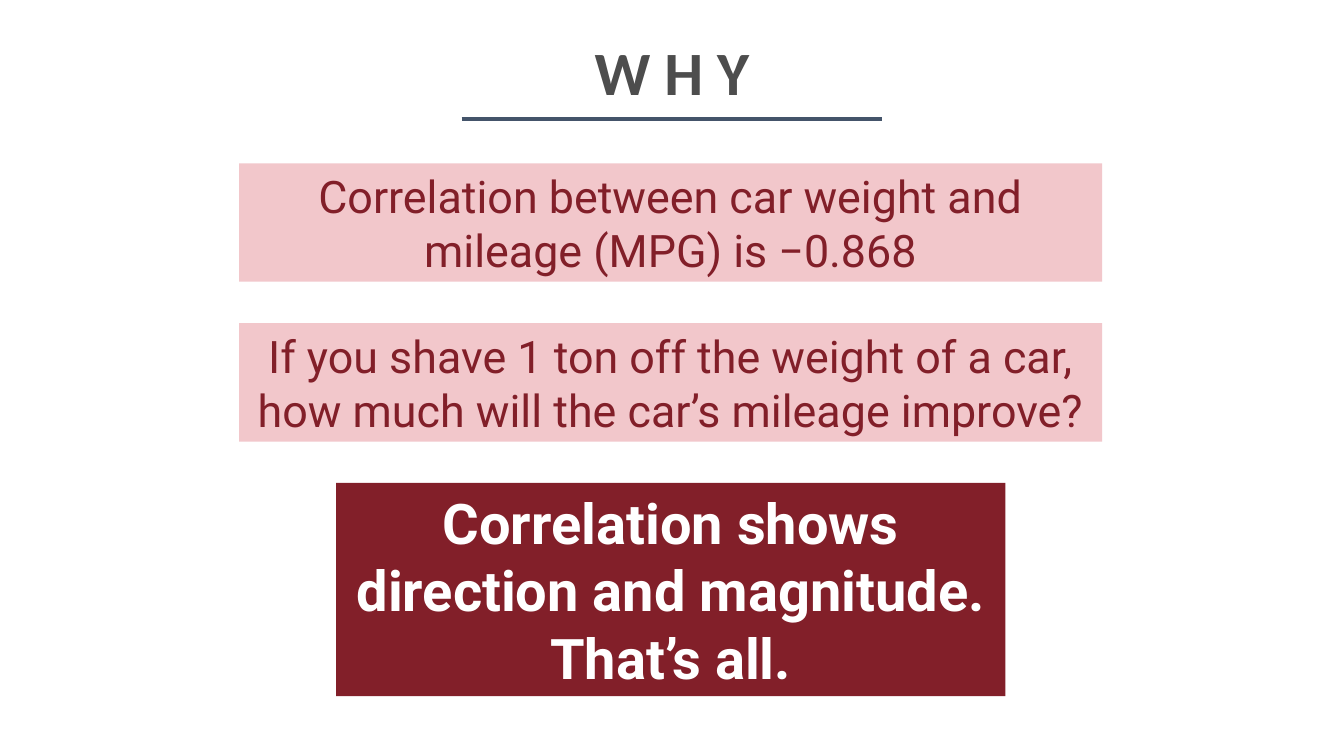
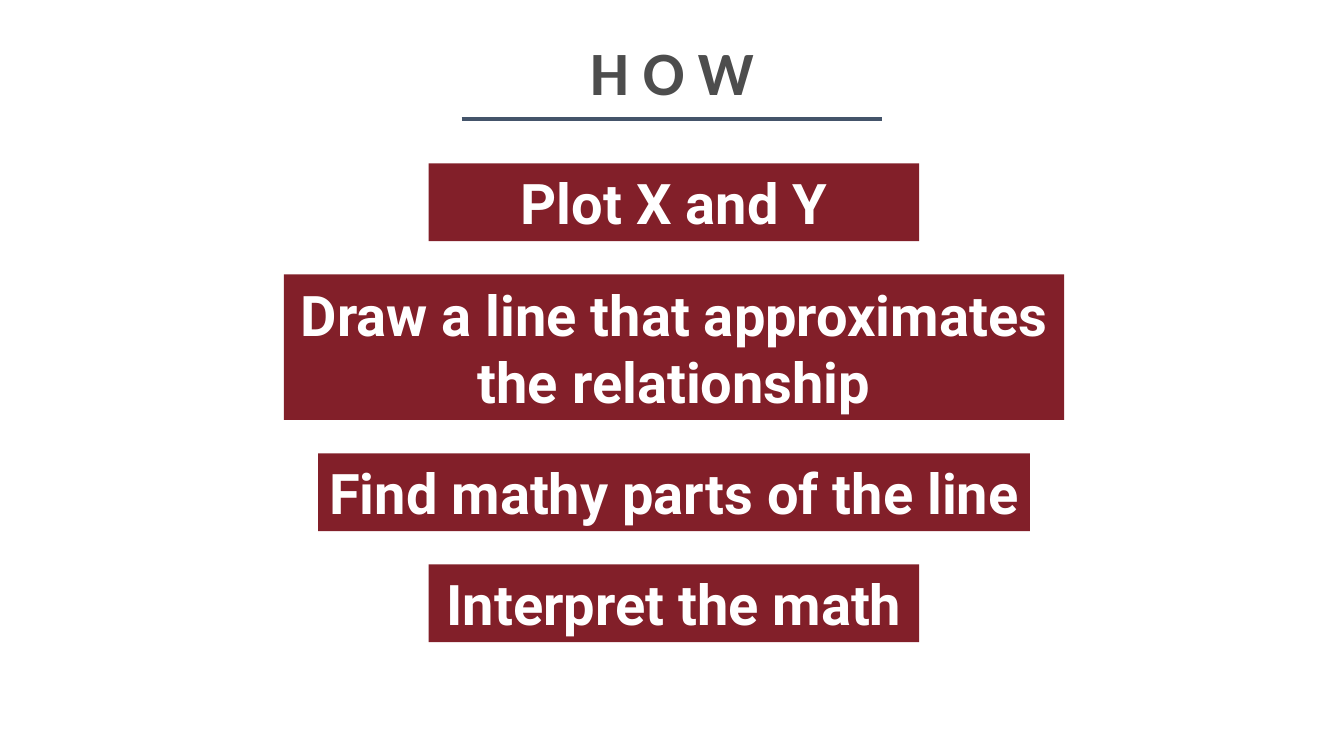
from dataclasses import dataclass

from lxml.etree import SubElement
from pptx import Presentation
from pptx.dml.color import RGBColor as Rgb
from pptx.enum.shapes import MSO_CONNECTOR as Link, MSO_SHAPE as Shape
from pptx.enum.text import MSO_ANCHOR as Anchor, MSO_AUTO_SIZE as Fit, PP_ALIGN as Align
from pptx.oxml.ns import qn
from pptx.util import Inches, Pt


@dataclass(frozen=True)
class Theme:
    """Colours, fonts and type sizes of the deck."""
    ink: str = "4D4D4D"
    rule: str = "44546A"
    dark: str = "821F29"
    pale: str = "F2C7CB"
    white: str = "FFFFFF"
    head: str = "Calibri"
    body: str = "Roboto"
    title: int = 44
    large: int = 40
    small: int = 32
    lead: float = 1.21
    pad: float = 0.1


@dataclass(frozen=True)
class Box:
    """A region of the slide, in inches."""
    left: float
    top: float
    wide: float
    high: float

    def inner(self, x, y, w, h):
        """Return a smaller region, given in percent of the sides."""
        return Box(self.left + self.wide * x / 100, self.top + self.high * y / 100,
                   self.wide * w / 100, self.high * h / 100)

    def span(self):
        """Return left, top, width and height as lengths."""
        return [Inches(n) for n in (self.left, self.top, self.wide, self.high)]


THEME = Theme()
PAGE = Box(0, 0, 13.33, 7.5)


def write(frame, text, face, size, ink, bold):
    """Fill a text frame with one centred paragraph and return its run."""
    frame.text = text
    frame.word_wrap = True
    para = frame.paragraphs[0]
    para.alignment = Align.CENTER
    run = para.runs[0]
    font = run.font
    font.name, font.size, font.bold = face, Pt(size), bold
    font.color.rgb = Rgb.from_string(ink)
    return run


def heading(slide, box, text):
    """Place the spaced title and the rule below it."""
    title = slide.shapes.title
    title.left, title.top, title.width, title.height = box.span()
    frame = title.text_frame
    run = write(frame, text, THEME.head, THEME.title, THEME.ink, True)
    run.font._element.set("spc", "1000")
    frame.auto_size = Fit.NONE
    frame.vertical_anchor = Anchor.MIDDLE
    frame.paragraphs[0].line_spacing = 1.1
    left, top, wide, _ = box.inner(34.35, 101, 31.3, 0).span()
    rule = slide.shapes.add_connector(Link.STRAIGHT, left, top, left + wide, top)
    rule.line.color.rgb = Rgb.from_string(THEME.rule)
    rule.line.width = Pt(3)
    SubElement(rule._element.spPr, qn("a:effectLst"))


def panel(slide, box, text, strong):
    """Place one filled box of text, dark and bold if strong."""
    fill, ink, size = ((THEME.dark, THEME.white, THEME.large) if strong
                       else (THEME.pale, THEME.dark, THEME.small))
    shape = slide.shapes.add_shape(Shape.RECTANGLE, *box.span())
    shape.shadow.inherit = False
    shape.fill.solid()
    shape.fill.fore_color.rgb = Rgb.from_string(fill)
    shape.line.fill.background()
    write(shape.text_frame, text, THEME.body, size, ink, strong)
    shape.text_frame.auto_size = Fit.SHAPE_TO_FIT_TEXT


def stack(slide, box, gap, items):
    """Stack centred panels down a region, each as tall as its lines."""
    top = box.top
    for text, wide, rows, strong in items:
        size = THEME.large if strong else THEME.small
        high = THEME.pad + rows * size * THEME.lead / 72
        row = Box(box.left, top, box.wide, high)
        panel(slide, row.inner((100 - wide) / 2, 0, wide, 100), text, strong)
        top += high + gap


SLIDES = [
    ("WHY", -0.1, 0.41, [
        ("Correlation between car weight and mileage (MPG) is −0.868", 64.2, 2, False),
        ("If you shave 1 ton off the weight of a car, how much will the car’s mileage improve?",
         64.2, 2, False),
        ("Correlation shows direction and magnitude. That’s all.", 49.8, 3, True),
    ]),
    ("HOW", 0.15, 0.33, [
        ("Plot X and Y", 36.5, 1, True),
        ("Draw a line that approximates the relationship", 58.05, 2, True),
        ("Find mathy parts of the line", 52.95, 1, True),
        ("Interpret the math", 36.5, 1, True),
    ]),
]


def main():
    """Build the deck and save it."""
    deck = Presentation()
    deck.slide_width, deck.slide_height = Inches(PAGE.wide), Inches(PAGE.high)
    for title, shift, gap, items in SLIDES:
        slide = deck.slides.add_slide(deck.slide_layouts[5])
        heading(slide, PAGE.inner(0, 2.25, 100, 13.35), title)
        stack(slide, PAGE.inner(shift, 21.6, 100, 75), gap, items)
    deck.save("out.pptx")


if __name__ == "__main__":
    main()
